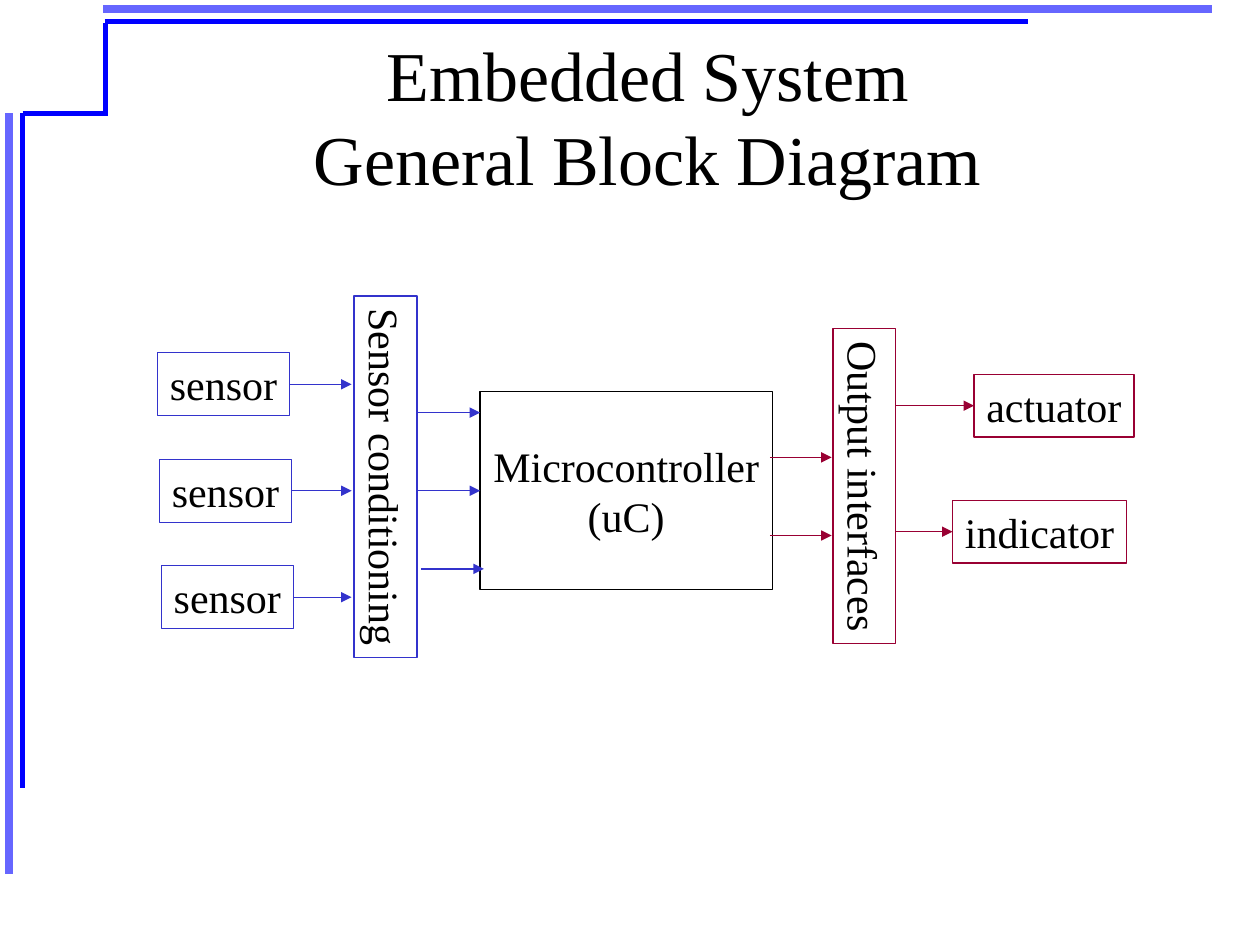
from lxml import etree
from pptx import Presentation
from pptx import util as u
from pptx.dml.color import RGBColor
from pptx.enum import shapes, text
from pptx.oxml.ns import qn

W, H = 10, 7.5
FONT = "Times New Roman"
BLACK, BLUE, RED = "000000", "3333CC", "990033"
ROW = 0.5  # height of a one-line block
RIGHT, LEFT = 3, 1


def color(value):
    return RGBColor.from_string(value)


def write(tf, words, size, align):
    tf.text = words
    for p in tf.paragraphs:
        p.alignment = align
        p.font.size = u.Pt(size)
        p.font.name = FONT
        p.font.color.rgb = color(BLACK)


def add_line(slide, start, end, hue, width=0.75, arrow=False):
    c = slide.shapes.add_connector(
        shapes.MSO_CONNECTOR.STRAIGHT, *(u.Inches(v) for v in (*start, *end)))
    c.line.color.rgb = color(hue)
    c.line.width = u.Pt(width)
    if arrow:
        etree.SubElement(c.line._get_or_add_ln(), qn("a:tailEnd"), type="triangle")
    etree.SubElement(c._element.spPr, qn("a:effectLst"))
    return c


def add_block(slide, box, words, hue, align=text.PP_ALIGN.LEFT,
              anchor=text.MSO_ANCHOR.TOP, upright=False):
    """Outlined label; an upright one is turned so its text reads downwards."""
    x, y, w, h = box
    if upright:
        x, y, w, h = x + (w - h) / 2, y + (h - w) / 2, h, w
    sp = slide.shapes.add_shape(
        shapes.MSO_SHAPE.RECTANGLE, *(u.Inches(v) for v in (x, y, w, h)))
    sp.rotation = 90 if upright else 0
    sp.shadow.inherit = False
    sp.fill.background()
    sp.line.color.rgb = color(hue)
    sp.line.width = u.Pt(0.75)
    tf = sp.text_frame
    tf.word_wrap = False
    tf.vertical_anchor = anchor
    write(tf, words, 24, align)
    return sp


def add_frame(slide, box):
    x, y, w, h = box
    inner, step = 0.11, 0.83  # gap between the two rules, size of the corner notch
    bars = [((0, step), (0, h)), ((step - 0.08, 0), (w, 0))]
    rules = [((inner, step), (inner, 0.9 * h)),
             ((step - 0.07, 0.1), (0.847 * w, 0.1)),
             ((inner, step), (step - 0.05, step)),
             ((step - 0.06, step + 0.02), (step - 0.06, inner))]
    for lines, hue, width in ((bars, "6666FF", 4.5), (rules, "0000FF", 3)):
        for (x1, y1), (x2, y2) in lines:
            add_line(slide, (x + x1, y + y1), (x + x2, y + y2), hue, width)


def add_title(slide, box):
    tf = slide.shapes.add_textbox(*(u.Inches(v) for v in box)).text_frame
    tf.word_wrap = True
    tf.vertical_anchor = text.MSO_ANCHOR.MIDDLE
    write(tf, "Embedded System\vGeneral Block Diagram", 40, text.PP_ALIGN.CENTER)


def add_controller(slide, box):
    return add_block(slide, box, "Microcontroller\n(uC)", BLACK,
                     text.PP_ALIGN.CENTER, text.MSO_ANCHOR.MIDDLE)


def add_inputs(slide, box, controller):
    """Three sensors feed the conditioning block, which feeds the controller."""
    x, y, w, h = box
    gate = x + w - 2 * ROW
    pitch = 0.845
    for i in range(3):
        top = y + 0.45 + i * pitch
        left = x + 0.015 * i
        sensor = add_block(slide, (left, top, 1.05, ROW), "sensor", BLUE)
        mid = top + ROW / 2
        add_line(slide, (left + 1.05, mid), (gate - 0.02, mid), BLUE,
                 arrow=True).begin_connect(sensor, RIGHT)
    add_block(slide, (gate, y, ROW, h), "Sensor conditioning", BLUE, upright=True)
    mid = (controller.top + controller.height / 2) / u.Inches(1)
    for i, shift in ((-1, 0), (0, 0), (1, 0.03)):
        level = mid + 0.62 * i
        c = add_line(slide, (gate + ROW + shift, level), (x + w + shift, level),
                     BLUE, arrow=True)
        if i == 0:
            c.end_connect(controller, LEFT)


def add_outputs(slide, box):
    """The controller drives the interface block, which drives two devices."""
    x, y, w, h = box
    gate = x + ROW
    for level in (1.02, 1.64):
        add_line(slide, (x, y + level), (gate - 0.01, y + level), RED, arrow=True)
    add_block(slide, (gate, y, ROW, h), "Output interfaces", RED, upright=True)
    for i, (words, left, width) in enumerate(
            (("actuator", 1.62, 1.27), ("indicator", 1.45, 1.38))):
        top = y + 0.36 + i
        device = add_block(slide, (x + left, top, width, ROW), words, RED)
        mid = top + ROW / 2
        add_line(slide, (gate + ROW, mid), (x + left, mid), RED,
                 arrow=True).end_connect(device, LEFT)


def main():
    prs = Presentation()
    prs.slide_width, prs.slide_height = u.Inches(W), u.Inches(H)
    slide = prs.slides.add_slide(prs.slide_layouts[6])
    add_frame(slide, (0.07, 0.07, 9.55, 6.87))
    add_title(slide, (0.89, 0.29, 0.85 * W, 1.25))
    controller = add_controller(slide, (3.81, 3.11, 2.32, 1.57))
    add_inputs(slide, (1.25, 2.35, 2.56, 2.87), controller)
    add_outputs(slide, (6.11, 2.61, 2.89, 2.5))
    prs.save("out.pptx")


if __name__ == "__main__":
    main()
